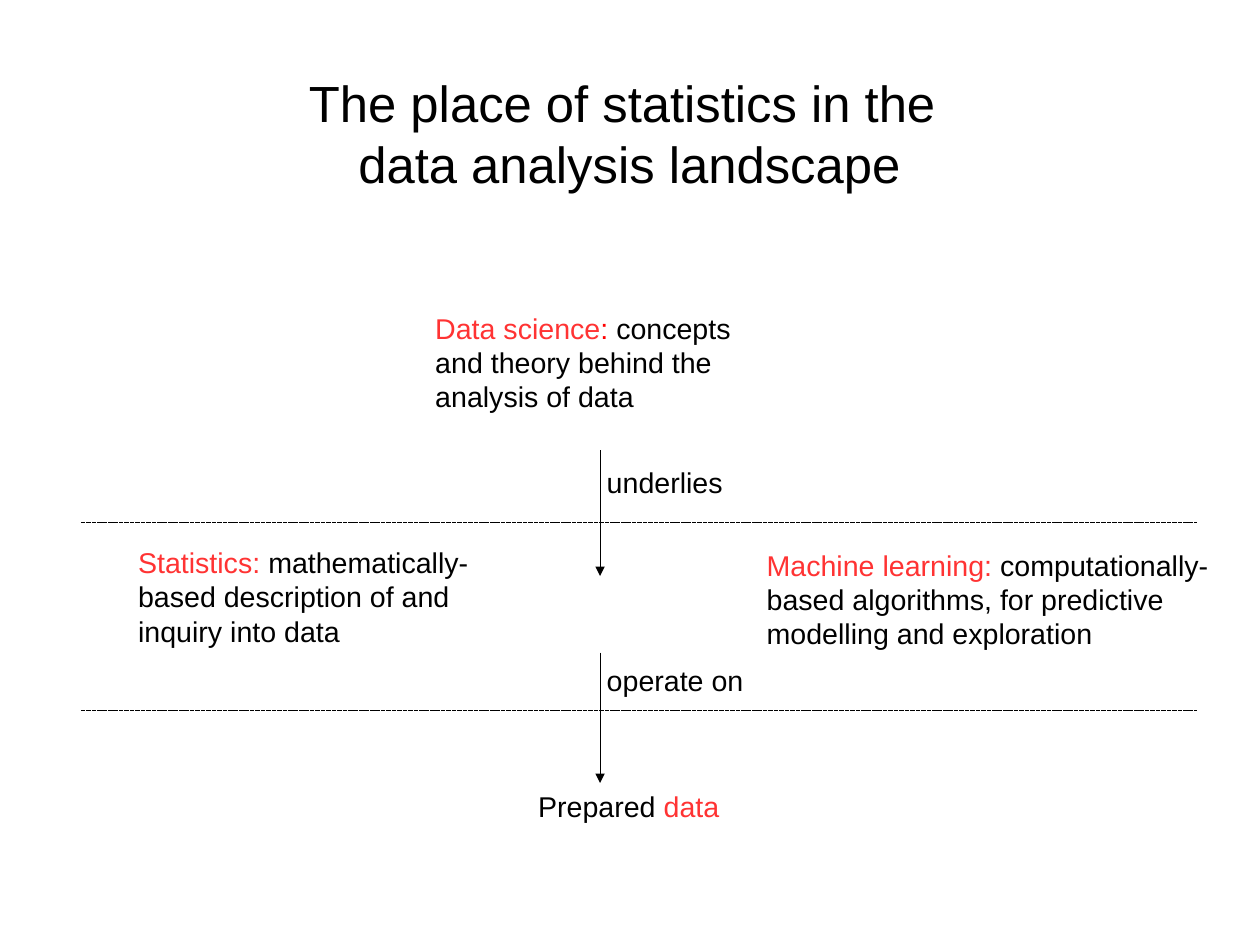
from lxml import etree
from pptx import Presentation
from pptx.dml.color import RGBColor
from pptx.enum import shapes, text
from pptx.oxml import ns
from pptx.util import Cm, Inches, Pt

BLACK = RGBColor(0x00, 0x00, 0x00)
RED = RGBColor(0xFF, 0x33, 0x33)
PURE_RED = RGBColor(0xFF, 0x00, 0x00)
FONT = "Arial"


def set_font(p, size):
    p.font.name = FONT
    p.font.size = Pt(size)
    p.font.color.rgb = BLACK


def add_title(s, left, top, width, height):
    title = s.shapes.title
    title.left, title.top = Inches(left), Inches(top)
    title.width, title.height = Inches(width), Inches(height)
    tf = title.text_frame
    tf.margin_left = tf.margin_right = tf.margin_top = tf.margin_bottom = 0
    tf.vertical_anchor = text.MSO_ANCHOR.TOP
    tf.auto_size = text.MSO_AUTO_SIZE.NONE
    tf.word_wrap = True
    tf.text = "The place of statistics in the \ndata analysis landscape"
    for p in tf.paragraphs:
        p.alignment = text.PP_ALIGN.CENTER
        p.line_spacing = 1.0
        set_font(p, 32)


def add_label(s, left, top, width, height, *parts):
    box = s.shapes.add_textbox(Inches(left), Inches(top), Inches(width), Inches(height))
    tf = box.text_frame
    tf.word_wrap = True
    p = tf.paragraphs[0]
    set_font(p, 18)
    for wording, color in parts:
        r = p.add_run()
        r.text = wording
        if color != BLACK:
            r.font.color.rgb = color


def add_hairline(s, x1, y1, x2, y2):
    line = s.shapes.add_connector(
        shapes.MSO_CONNECTOR.STRAIGHT, Inches(x1), Inches(y1), Inches(x2), Inches(y2)
    )
    line.line.color.rgb = BLACK
    props = line._element.spPr
    ln = props.find(ns.qn("a:ln"))
    ln.set("w", "0")
    etree.SubElement(props, ns.qn("a:effectLst"))
    return ln


def add_divider(s, left, y, width):
    ln = add_hairline(s, left, y, left + width, y)
    dash = etree.SubElement(ln, ns.qn("a:custDash"))
    etree.SubElement(dash, ns.qn("a:ds"), d="300000", sp="150000")


def add_step(s, x, top, height, label, drop):
    ln = add_hairline(s, x, top, x, top + height)
    etree.SubElement(ln, ns.qn("a:tailEnd"), type="triangle")
    add_label(s, x - 0.04, top + drop, 4.72, 0.66, (label, BLACK))


def add_landscape(s, left, top, width):
    for y in (1.9, 3.55):
        add_divider(s, left, top + y, width)
    add_label(s, left + 3, top, 3.07, 1.1,
              ("Data science", RED), (":", PURE_RED),
              (" concepts and theory behind the analysis of data", BLACK))
    add_label(s, left + 0.4, top + 2.05, 3.18, 0.95,
              ("Statistics: ", RED),
              ("mathematically-based description of and inquiry into data", BLACK))
    add_label(s, left + 5.9, top + 2.07, 4.14, 0.89,
              ("Machine learning: ", RED),
              ("computationally- based algorithms, for predictive "
               "modelling and exploration", BLACK))
    add_label(s, left + 3.9, top + 4.18, 3.7, 0.38,
              ("Prepared ", BLACK), ("data", RED))
    add_step(s, left + 4.54, top + 1.27, 1.1, "underlies", 0.08)
    add_step(s, left + 4.54, top + 3.04, 1.14, "operate on", 0.04)


def main():
    prs = Presentation()
    prs.slide_width, prs.slide_height = Cm(28), Cm(21)
    s = prs.slides.add_slide(prs.slide_layouts.get_by_name("Title Only"))
    add_title(s, 0.55, 0.63, 9.92, 1.25)
    add_landscape(s, 0.71, 2.67, 9.76)
    prs.save("out.pptx")


if __name__ == "__main__":
    main()
